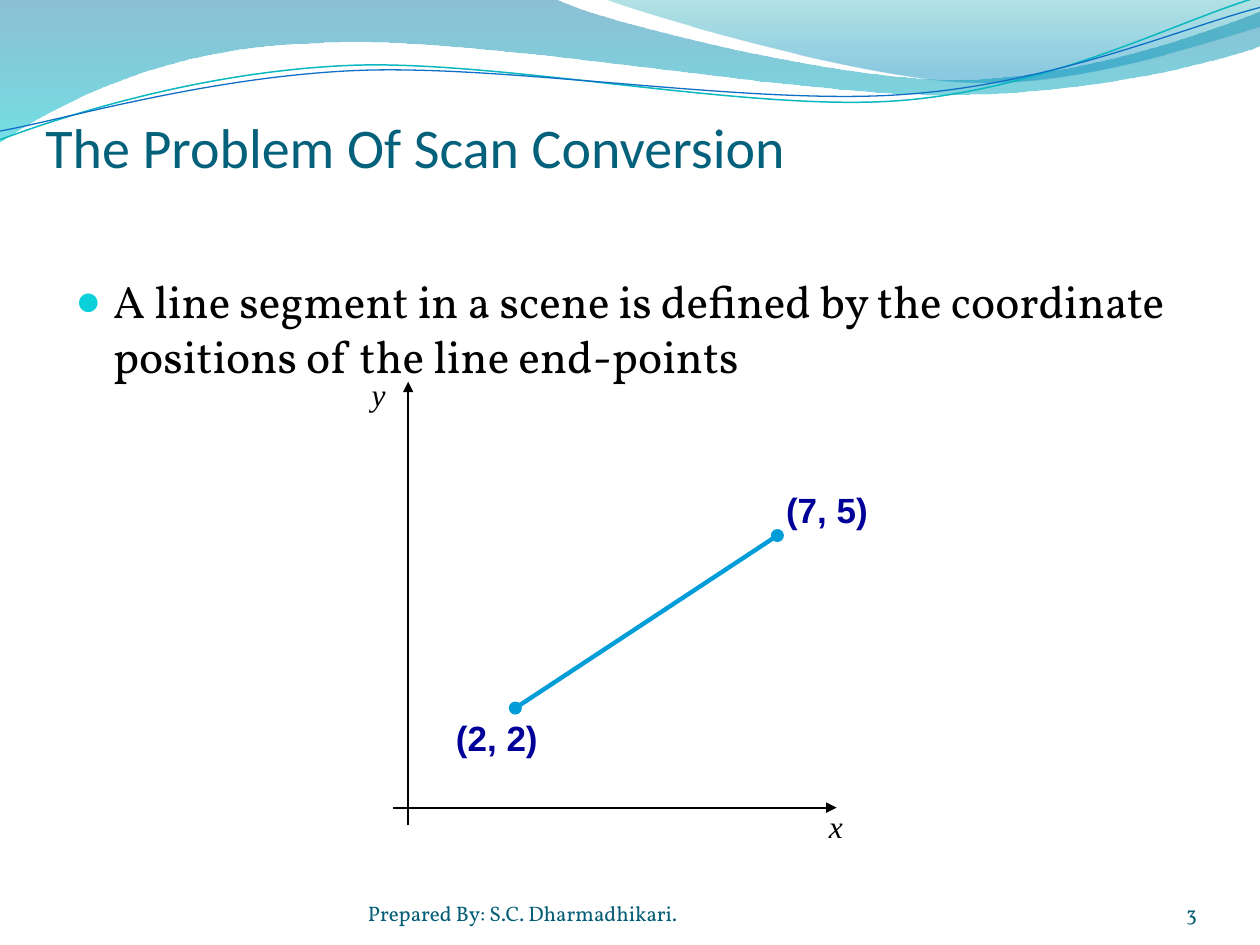
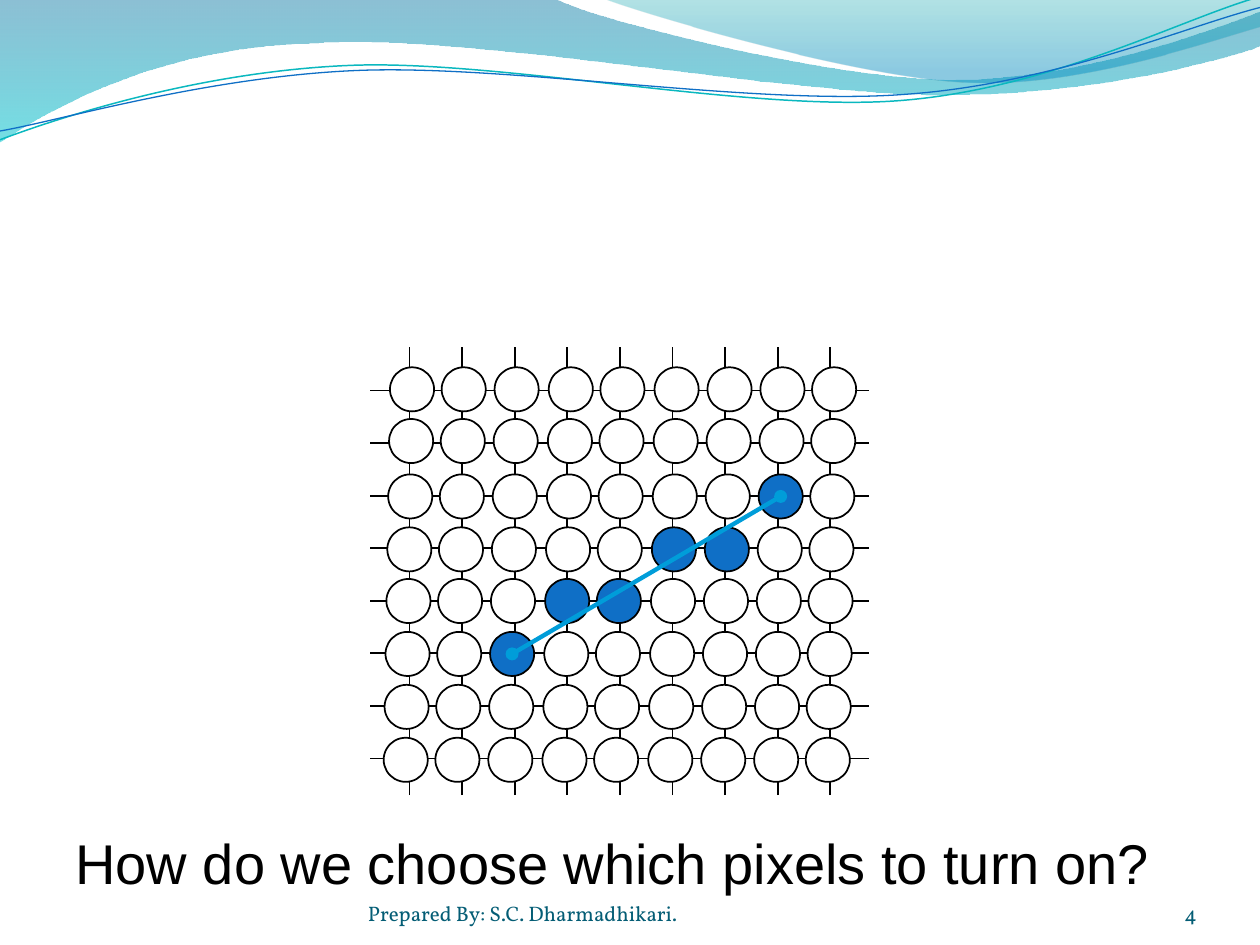
from dataclasses import dataclass
from itertools import product
from math import cos, radians, sin

from lxml import etree
from pptx import Presentation
from pptx.dml.color import RGBColor
from pptx.enum.shapes import MSO_CONNECTOR, MSO_SHAPE
from pptx.enum.text import MSO_ANCHOR, PP_ALIGN
from pptx.oxml.ns import qn
from pptx.util import Inches, Pt

STRAIGHT, OVAL = MSO_CONNECTOR.STRAIGHT, MSO_SHAPE.OVAL
BOTTOM, LEFT, RIGHT = MSO_ANCHOR.BOTTOM, PP_ALIGN.LEFT, PP_ALIGN.RIGHT
TITLE_ONLY, BLANK = 5, 6

COLORS = {
    "black": "000000", "white": "FFFFFF", "title": "04617B", "footer": "045D75",
    "bullet": "0BD0D9", "segment": "009DD9", "label": "000099", "lit": "0F6FC6",
    "deep": "0074A1", "aqua": "00C6CF", "teal": "00A1A9", "sky": "008BBF",
    "upper_line": "0AB8BF", "lower_line": "0F6FC6",
}
STYLES = {
    "title": {"size": Pt(32), "name": "Calibri", "color": "title"},
    "body": {"size": Pt(26), "name": "Vollkorn", "color": "black"},
    "question": {"size": Pt(32), "name": "Arial", "color": "black"},
    "footer": {"size": Pt(12), "name": "Vollkorn", "color": "footer"},
    "axis": {"size": Pt(18), "name": "Times New Roman", "color": "black", "italic": True},
    "point": {"size": Pt(20), "name": "Arial", "color": "label", "bold": True},
}
FOOTER = "Prepared By: S.C. Dharmadhikari."
START, END = (2, 2), (7, 5)

# Each outline is a start point followed by line (1 point) or curve (3 points) steps.
BANDS = [
    ([[(0, 0)], [(4.4, -0.01)],
      [(4.76, 0.17), (6.64, 0.63), (7.58, 0.63)], [(8.53, 0.63), (9.58, 0.26), (10, 0.09)],
      [(10.01, 0.36)],
      [(9.83, 0.44), (8.7, 0.76), (7.46, 0.75)], [(6.22, 0.75), (3.82, 0.28), (2.57, 0.34)],
      [(1.29, 0.36), (0.46, 0.83), (-0.01, 1.13)], [(0, 0)]],
     [(0, "deep", 45), (1, "aqua", 55)]),
    ([[(4.79, -0.01)],
      [(5.09, 0.11), (6.82, 0.62), (7.69, 0.65)], [(8.56, 0.69), (9.61, 0.32), (10, 0.21)],
      [(10, 0)], [(4.79, -0.01)]],
     [(0, "teal", 30), (0.8, "sky", 45)]),
]
WAVES = [
    ([[(0, 1.11)], [(0.48, 0.93), (1.58, 0.57), (2.77, 0.52)],
      [(3.95, 0.47), (5.93, 0.89), (7.13, 0.8)], [(8.33, 0.71), (9.38, 0.15), (9.98, -0.02)]],
     "upper_line", 0.85),
    ([[(0, 1.04)], [(0.47, 0.96), (1.64, 0.61), (2.83, 0.56)],
      [(4.03, 0.51), (5.97, 0.84), (7.17, 0.75)], [(8.36, 0.67), (9.41, 0.21), (10, 0.06)]],
     "lower_line", 0.75),
]
WAVE_TILT, WAVE_CENTRE = 2.7, (5, 0.58)


@dataclass
class Box:
    """A region in inches; point() gives a place measured from its top left corner."""
    left: float
    top: float
    width: float
    height: float

    def point(self, across, down):
        return self.left + across, self.top + down

    def lengths(self):
        return [Inches(value) for value in (self.left, self.top, self.width, self.height)]


def color(name):
    return RGBColor.from_string(COLORS[name])


def add_xml(parent, tag, **attributes):
    return etree.SubElement(parent, qn(tag), attributes)


def write(shape, text, style, insets=None, anchor=None, align=LEFT, wrap=True):
    frame = shape.text_frame
    frame.word_wrap = wrap
    if anchor is not None:
        frame.vertical_anchor = anchor
    if insets:
        for side, inset in zip(("left", "top", "right", "bottom"), insets):
            setattr(frame, f"margin_{side}", Inches(inset))
    paragraph = frame.paragraphs[0]
    paragraph.alignment = align
    run = paragraph.add_run()
    run.text = text
    for key, value in STYLES[style].items():
        if key == "color":
            run.font.color.rgb = color(value)
        else:
            setattr(run.font, key, value)
    return paragraph


def add_text(slide, box, text, style, **layout):
    return write(slide.shapes.add_textbox(*box.lengths()), text, style, **layout)


def add_line(slide, start, end, color_name="black", width=1, head=None, tail=None):
    ends = [Inches(value) for value in (*start, *end)]
    connector = slide.shapes.add_connector(STRAIGHT, *ends)
    connector.line.color.rgb = color(color_name)
    connector.line.width = Pt(width)
    outline = connector.line._get_or_add_ln()
    for tag, kind in (("a:headEnd", head), ("a:tailEnd", tail)):
        if kind:
            add_xml(outline, tag, type=kind)
    add_xml(connector.element.spPr, "a:effectLst")


def add_segment(slide, start, end):
    add_line(slide, start, end, "segment", 2.5, head="oval", tail="oval")


def turn(point, degrees, centre):
    across, down = point[0] - centre[0], point[1] - centre[1]
    cosine, sine = cos(radians(degrees)), sin(radians(degrees))
    return (centre[0] + across * cosine - down * sine,
            centre[1] + across * sine + down * cosine)


def add_outline(slide, outline, close):
    """Draw straight steps first, then join each group of three into a Bezier curve."""
    first, *others = [(Inches(x), Inches(y)) for step in outline for x, y in step]
    builder = slide.shapes.build_freeform(*first)
    builder.add_line_segments(others, close=close)
    shape = builder.convert_to_shape()
    shape.shadow.inherit = False
    nodes = iter(list(shape.element.iter(qn("a:lnTo"))))
    for step in outline[1:]:
        group = [next(nodes) for _ in step]
        if len(group) == 3:
            curve = etree.Element(qn("a:cubicBezTo"))
            group[0].addprevious(curve)
            for node in group:
                curve.append(node[0])
                node.getparent().remove(node)
    return shape


def add_header(master, slide):
    """Draw the wavy header on the slide, then move it behind everything on the master."""
    shapes = []
    for outline, stops in BANDS:
        band = add_outline(slide, outline, close=True)
        band.line.fill.background()
        band.fill.gradient()
        band.fill.gradient_angle = 270
        for stop, (position, name, _) in zip(band.fill.gradient_stops, stops):
            stop.position = position
            stop.color.rgb = color(name)
        for tint, (_, _, opacity) in zip(band.element.spPr.iter(qn("a:srgbClr")), stops):
            add_xml(tint, "a:alpha", val=str(opacity * 1000))
        shapes.append(band)
    for outline, name, width in WAVES:
        level = [[turn(point, WAVE_TILT, WAVE_CENTRE) for point in step] for step in outline]
        wave = add_outline(slide, level, close=False)
        wave.rotation = 360 - WAVE_TILT
        wave.fill.background()
        wave.line.color.rgb = color(name)
        wave.line.width = Pt(width)
        shapes.append(wave)
    for index, shape in enumerate(shapes):
        master.element.cSld.spTree.insert(2 + index, shape.element)


def add_footer(slide, number):
    flush = {"style": "footer", "insets": (0, 0, 0, 0), "anchor": BOTTOM}
    add_text(slide, Box(8.67, 6.95, 0.83, 0.4), str(number), align=RIGHT, **flush)
    add_text(slide, Box(2.92, 6.95, 3.67, 0.4), FOOTER, **flush)


def set_title(slide, box, text):
    title = slide.shapes.title
    title.left, title.top, title.width, title.height = box.lengths()
    write(title, text, "title", insets=(0, 0.05, 0, 0), anchor=BOTTOM)


def add_bullet(slide, box, text):
    paragraph = add_text(slide, box, text, "body")
    paragraph.space_before = Pt(5)
    properties = paragraph._p.get_or_add_pPr()
    indent = Inches(0.3)
    properties.set("marL", str(indent))
    properties.set("indent", str(-indent))
    add_xml(add_xml(properties, "a:buClr"), "a:srgbClr", val=COLORS["bullet"])
    add_xml(properties, "a:buSzPct", val="95000")
    add_xml(properties, "a:buFont", typeface="Arial")
    add_xml(properties, "a:buChar", char="●")


def add_plot(slide, box):
    """Draw axes with their origin at the box's lower left, and the labelled segment."""
    add_line(slide, box.point(0, box.height + 0.14), box.point(0, 0), tail="triangle")
    add_line(slide, box.point(-0.12, box.height), box.point(box.width, box.height),
             tail="triangle")
    add_segment(slide, box.point(0.85, 2.59), box.point(2.93, 1.22))
    labels = [
        ("x", "axis", (3.24, 3.33), (0.31, 0.4)),
        ("y", "axis", (-0.39, -0.1), (0.31, 0.4)),
        (str(START), "point", (0.28, 2.61), (0.85, 0.43)),
        (str(END), "point", (2.9, 0.8), (0.85, 0.43)),
    ]
    for text, style, corner, size in labels:
        add_text(slide, Box(*box.point(*corner), *size), text, style, wrap=False)


def add_pixel_grid(slide, box):
    """Draw evenly spaced grid lines, hand-placed pixels over them, and the segment."""
    across = [0.02, 0.43, 0.85, 1.28, 1.69, 2.12, 2.54, 2.96, 3.37]
    down = [-0.01, 0.4, 0.84, 1.26, 1.67, 2.09, 2.51, 2.93]
    columns, rows = len(across), len(down)
    overhang, diameter, lean = 0.31, 0.35, 0.05
    for column in range(columns):
        x = column * box.width / (columns - 1)
        add_line(slide, box.point(x, box.height + 0.29), box.point(x, -0.35))
    for row in range(rows):
        y = row * box.height / (rows - 1)
        add_line(slide, box.point(-overhang, y), box.point(box.width + overhang, y))

    def centre(column, level):
        """Levels count upwards; lower rows lean slightly to the left."""
        row = rows - 1 - level
        return box.point(across[column] - lean * row / (rows - 1), down[row])

    slope = (END[1] - START[1]) / (END[0] - START[0])
    lit = {(x, round(START[1] + slope * (x - START[0]))) for x in range(START[0], END[0] + 1)}
    for cell in product(range(columns), range(rows)):
        x, y = centre(*cell)
        pixel_box = Box(x - diameter / 2, y - diameter / 2, diameter, diameter)
        pixel = slide.shapes.add_shape(OVAL, *pixel_box.lengths())
        pixel.shadow.inherit = False
        pixel.fill.solid()
        pixel.fill.fore_color.rgb = color("lit" if cell in lit else "white")
        pixel.line.color.rgb = color("black")
        pixel.line.width = Pt(1)
    add_segment(slide, centre(*START), centre(*END))


def build_problem_slide(slide):
    set_title(slide, Box(0.36, 0.66, 9, 0.77), "The Problem Of Scan Conversion")
    add_bullet(slide, Box(0.5, 2.12, 9, 4.8),
               "A line segment in a scene is defined by the coordinate positions "
               "of the line end-points")
    add_plot(slide, Box(3.24, 3.03, 3.4, 3.38))
    add_footer(slide, 3)


def build_pixel_slide(slide):
    add_pixel_grid(slide, Box(3.25, 3.1, 3.34, 2.92))
    question = add_text(slide, Box(0.5, 6.53, 9, 0.76),
                        "How do we choose which pixels to turn on?", "question")
    question.space_before = Pt(6)
    add_footer(slide, 4)


def main():
    presentation = Presentation()
    presentation.slide_width, presentation.slide_height = Inches(10), Inches(7.5)
    layouts = presentation.slide_layouts
    problem_slide = presentation.slides.add_slide(layouts[TITLE_ONLY])
    add_header(presentation.slide_master, problem_slide)
    build_problem_slide(problem_slide)
    build_pixel_slide(presentation.slides.add_slide(layouts[BLANK]))
    presentation.save("out.pptx")


if __name__ == "__main__":
    main()
